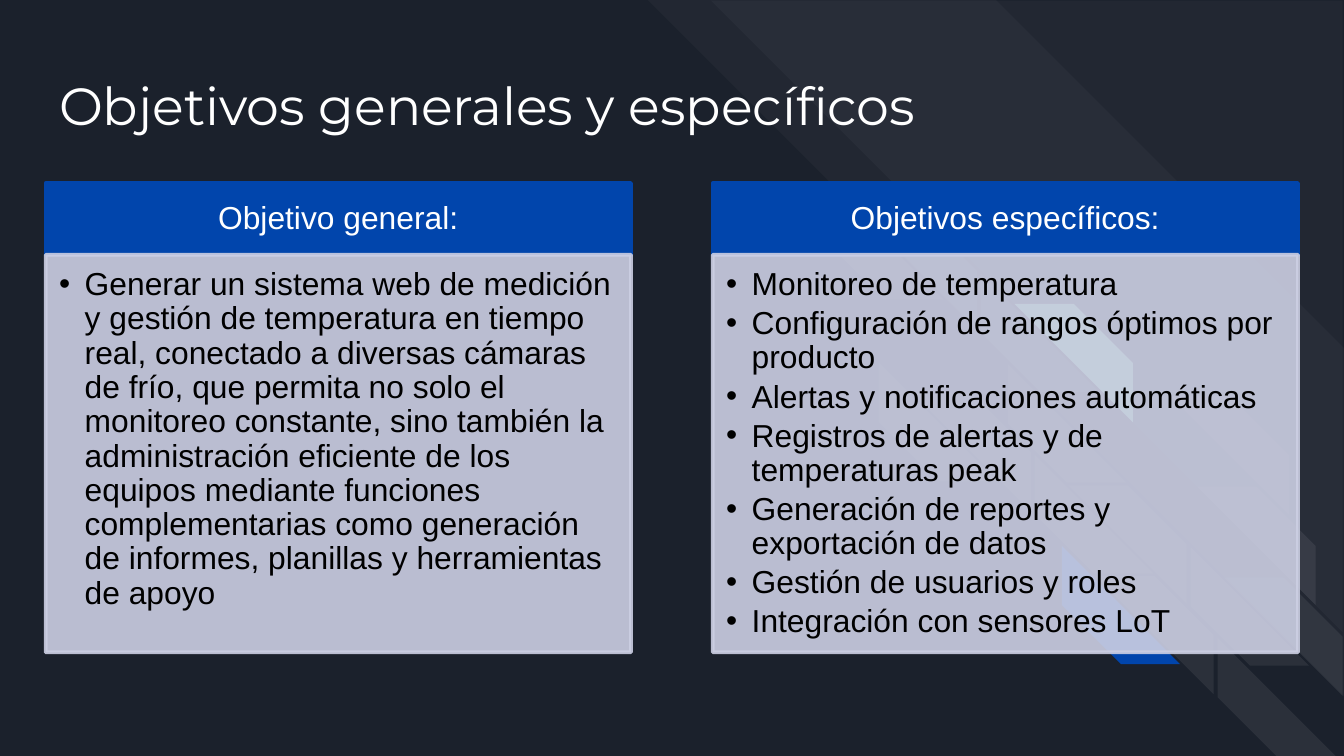
import dataclasses
import typing

import pptx
import pptx.dml.color
import pptx.enum.shapes
import pptx.enum.text
import pptx.oxml
import pptx.oxml.ns
import pptx.util

RGB = pptx.dml.color.RGBColor
ALIGN = pptx.enum.text.PP_ALIGN
ANCHOR = pptx.enum.text.MSO_ANCHOR

NIGHT = RGB(0x1B, 0x21, 0x2C)
WHITE = RGB(0xFF, 0xFF, 0xFF)
BLACK = RGB(0x00, 0x00, 0x00)
BLUE = RGB(0x01, 0x45, 0xAC)
GREEN = RGB(0x82, 0xC7, 0xA5)
LAVENDER = RGB(0xCC, 0xCF, 0xE3)

WIDTH = pptx.util.Inches(10)
HEIGHT = WIDTH * 9 // 16


def across(percent: float) -> int:
    return round(WIDTH * percent / 100)


def down(percent: float) -> int:
    return round(HEIGHT * percent / 100)


@dataclasses.dataclass(frozen=True)
class Stripe:
    """Diagonal stripe; left and size are percent of width, top of height."""
    left: float
    top: float
    size: float
    turn: int = 0
    mirrored: bool = False
    thickness: float = 0.5
    colour: RGB = WHITE
    opacity: int = 7


@dataclasses.dataclass(frozen=True)
class Chevron:
    """Lattice cell holding a turned stripe, a mirrored one, or both."""
    col: int
    row: int
    turned: typing.Optional[RGB] = WHITE
    mirrored: typing.Optional[RGB] = WHITE


@dataclasses.dataclass(frozen=True)
class Panel:
    heading: str
    items: tuple[str, ...]


BANDS = (
    Stripe(48.2, 0, 51.8, turn=90, thickness=0.5, opacity=3),
    Stripe(52.9, 0.1, 47, turn=90, thickness=0, opacity=3),
)
CHEVRONS = (
    Chevron(-1, -1),
    Chevron(-1, 1),
    Chevron(0, 0, mirrored=GREEN),
    Chevron(0, 1, mirrored=None),
    Chevron(1, 1, turned=None),
    Chevron(1, 2, turned=None),
    Chevron(0, 2),
    Chevron(0, 3, turned=BLUE),
    Chevron(1, 3),
    Chevron(1, 4, mirrored=None),
)
PANELS = (
    Panel("Objetivo general:", (
        "Generar un sistema web de medición y gestión de temperatura en tiempo "
        "real, conectado a diversas cámaras de frío, que permita no solo el "
        "monitoreo constante, sino también la administración eficiente de los "
        "equipos mediante funciones complementarias como generación de "
        "informes, planillas y herramientas de apoyo",
    )),
    Panel("Objetivos específicos:", (
        "Monitoreo de temperatura",
        "Configuración de rangos óptimos por producto",
        "Alertas y notificaciones automáticas",
        "Registros de alertas y de temperaturas peak",
        "Generación de reportes y exportación de datos",
        "Gestión de usuarios y roles",
        "Integración con sensores LoT",
    )),
)
MARGIN, PANEL_WIDTH, PANEL_STEP = 3.4, 43.55, 49.63


def set_opacity(sp, percent: int) -> None:
    """Apply one opacity to every colour of the shape's fill and line."""
    for colour in sp._element.spPr.iter(pptx.oxml.ns.qn("a:srgbClr")):
        alpha = pptx.oxml.parse_xml(
            f'<a:alpha {pptx.oxml.ns.nsdecls("a")} val="{percent * 1000}"/>')
        colour.append(alpha)


def draw_stripe(s, stripe: Stripe) -> None:
    side = across(stripe.size)
    sp = s.shapes.add_shape(
        pptx.enum.shapes.MSO_SHAPE.DIAGONAL_STRIPE,
        across(stripe.left), down(stripe.top), side, side)
    sp.shadow.inherit = False
    sp.adjustments[0] = stripe.thickness
    sp.rotation = stripe.turn
    if stripe.mirrored:
        sp._element.spPr.xfrm.set("flipH", "1")
    sp.fill.solid()
    sp.fill.fore_color.rgb = stripe.colour
    sp.line.fill.background()
    if stripe.colour == WHITE:
        set_opacity(sp, stripe.opacity)


def draw_chevron(s, chevron: Chevron) -> None:
    left = 73 + 9.6 * chevron.col + 2 * chevron.row
    top = 36.2 + 0.2 * chevron.col + 12 * chevron.row
    if chevron.turned is not None:
        draw_stripe(s, Stripe(left, top, 8.8, turn=270, colour=chevron.turned))
    if chevron.mirrored is not None:
        draw_stripe(s, Stripe(left + 2.5, top + 4, 8.8, mirrored=True,
                              colour=chevron.mirrored))


def place(s, sp, left: float, top: float, width: float, height: float) -> None:
    """Position a placeholder and bring it in front of what is drawn."""
    sp.left, sp.top = across(left), down(top)
    sp.width, sp.height = across(width), down(height)
    s.shapes._spTree.append(sp._element)


def paint(sp, colour: RGB, opacity: int = 100) -> None:
    sp.fill.solid()
    sp.fill.fore_color.rgb = colour
    sp.line.color.rgb = colour
    sp.line.width = pptx.util.Pt(2)
    if opacity < 100:
        set_opacity(sp, opacity)


def write(sp, lines: typing.Sequence[str], *, size: float, colour: RGB,
          font: str = "Arial", align=ALIGN.LEFT, anchor=ANCHOR.MIDDLE,
          insets: tuple[float, ...] = (0.1, 0.1, 0.1, 0.1),
          after: float = 0, hanging: float = 0) -> None:
    """Fill a text frame; insets and hanging are in inches, after in points."""
    tf = sp.text_frame
    tf.word_wrap = True
    tf.auto_size = pptx.enum.text.MSO_AUTO_SIZE.NONE
    tf.vertical_anchor = anchor
    tf.margin_left, tf.margin_top, tf.margin_right, tf.margin_bottom = map(
        pptx.util.Inches, insets)
    for i, line in enumerate(lines):
        p = tf.add_paragraph() if i else tf.paragraphs[0]
        p.alignment = align
        p.line_spacing = 0.9
        p.space_before = pptx.util.Pt(0)
        p.space_after = pptx.util.Pt(after)
        if hanging:
            indent = pptx.util.Inches(hanging)
            pPr = p._p.get_or_add_pPr()
            pPr.set("marL", str(indent))
            pPr.set("indent", str(-indent))
        r = p.add_run()
        r.text = line
        r.font.name = font
        r.font.size = pptx.util.Pt(size)
        r.font.bold = False
        r.font.color.rgb = colour


def fill_panel(s, column: int, panel: Panel) -> None:
    left = MARGIN + column * PANEL_STEP
    heading, body = (s.placeholders[2 * column + n] for n in (1, 2))
    place(s, heading, left, 24.2, PANEL_WIDTH, 9.5)
    paint(heading, BLUE)
    write(heading, [panel.heading], size=17, colour=WHITE, align=ALIGN.CENTER,
          insets=(0.13, 0.08, 0.13, 0.08))
    place(s, body, left, 33.7, PANEL_WIDTH, 52.6)
    paint(body, LAVENDER, opacity=90)
    write(body, panel.items, size=17, colour=BLACK, anchor=ANCHOR.TOP,
          insets=(0.1, 0.1, 0.13, 0.15), after=2.55, hanging=0.19)


def main() -> None:
    prs = pptx.Presentation()
    prs.slide_width, prs.slide_height = WIDTH, HEIGHT
    s = prs.slides.add_slide(prs.slide_layouts.get_by_name("Comparison"))
    s.background.fill.solid()
    s.background.fill.fore_color.rgb = NIGHT
    for band in BANDS:
        draw_stripe(s, band)
    for chevron in CHEVRONS:
        draw_chevron(s, chevron)
    place(s, s.shapes.title, MARGIN, 8.7, 100 - 2 * MARGIN, 11.2)
    write(s.shapes.title, ["Objetivos generales y específicos"], size=28,
          colour=WHITE, font="Montserrat")
    for column, panel in enumerate(PANELS):
        fill_panel(s, column, panel)
    prs.save("out.pptx")


if __name__ == "__main__":
    main()
